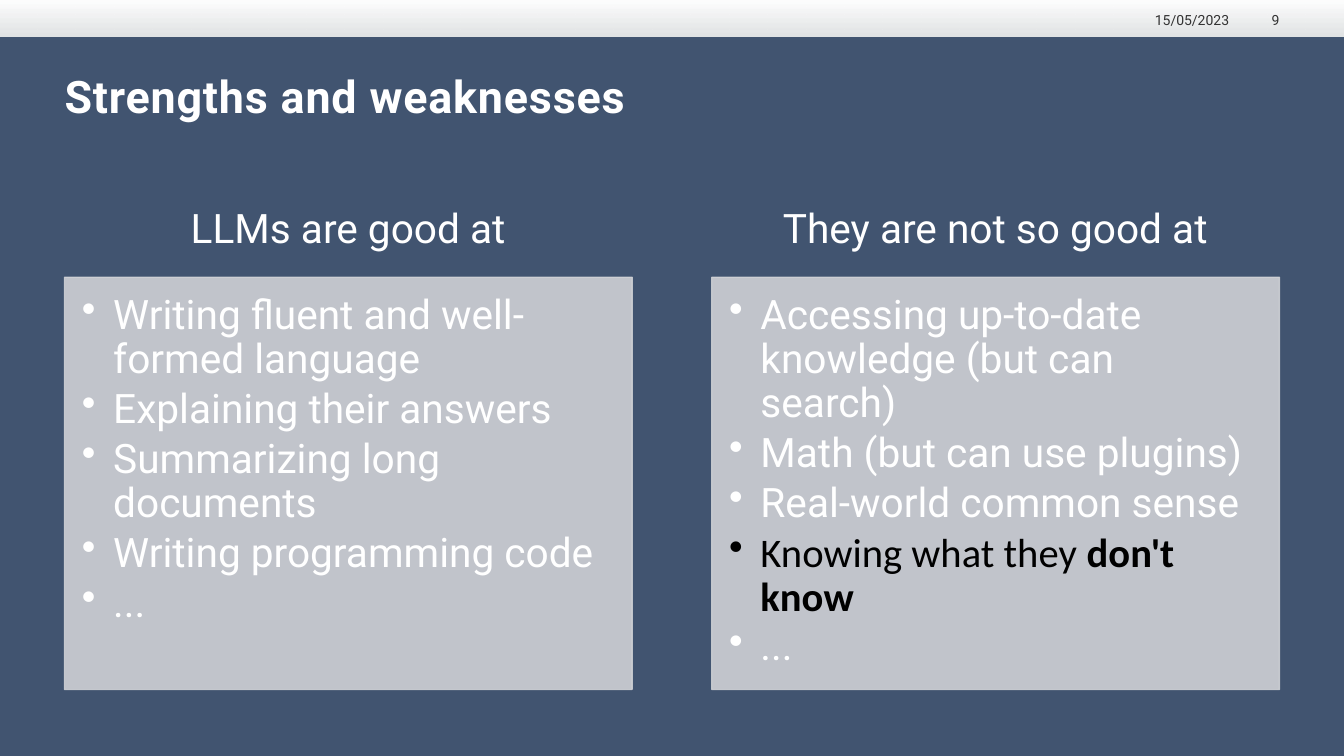
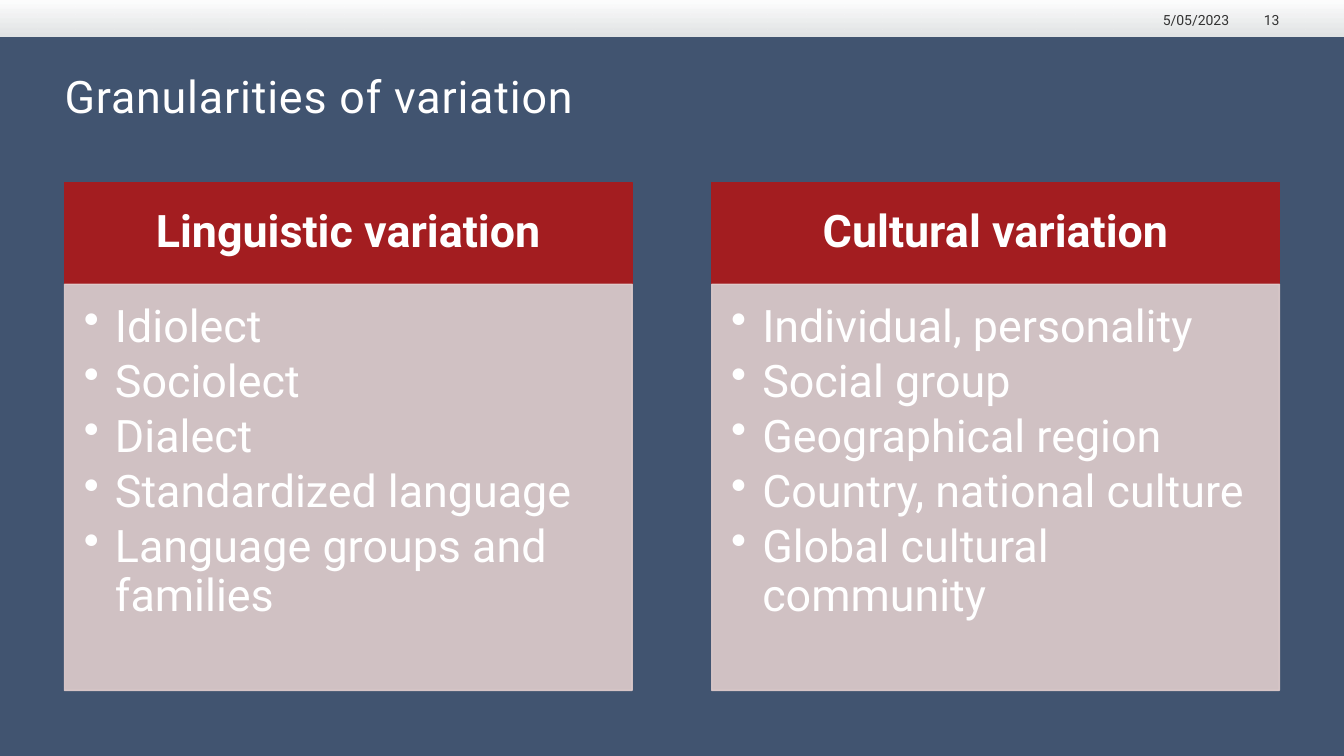
from dataclasses import dataclass

import pptx
import pptx.dml.color
import pptx.enum.shapes
import pptx.enum.text
import pptx.oxml
import pptx.oxml.ns
import pptx.util

RGBColor = pptx.dml.color.RGBColor
Inches, Pt = pptx.util.Inches, pptx.util.Pt
ALIGN, ANCHOR = pptx.enum.text.PP_ALIGN, pptx.enum.text.MSO_ANCHOR
RECTANGLE = pptx.enum.shapes.MSO_SHAPE.RECTANGLE

# Shared look
NAVY = RGBColor(0x41, 0x54, 0x70)
RED = RGBColor(0xA3, 0x1D, 0x20)
PALE_BLUE = RGBColor(0xCF, 0xD1, 0xD5)
PALE_RED = RGBColor(0xE0, 0xCD, 0xCD)
BAND_END = RGBColor(0xEE, 0xEF, 0xEE)
WHITE = RGBColor(0xFF, 0xFF, 0xFF)
BLACK = RGBColor(0, 0, 0)
GREY = RGBColor(0x33, 0x33, 0x33)
FONT, ACCENT_FONT = "Roboto", "Calibri"

# Grid, in inches
SLIDE_W, SLIDE_H = 13.33, 7.5
MARGIN, GUTTER = 0.64, 0.79
CONTENT_W = SLIDE_W - 2 * MARGIN
COLUMN_W = (CONTENT_W - GUTTER) / 2
BAND_H = 0.36
INDENT = 0.31


@dataclass(frozen=True)
class Point:
    text: str
    bold_end: str = ""
    ink: RGBColor = WHITE
    typeface: str = FONT


@dataclass(frozen=True)
class Column:
    heading: str
    points: tuple[Point, ...]


@dataclass(frozen=True)
class Theme:
    heading_fill: RGBColor
    body_fill: RGBColor
    size: int
    heading_bold: bool
    top: float
    heading_h: float
    body_h: float


@dataclass(frozen=True)
class Page:
    title: str
    title_bold: bool
    date: str
    number: str
    theme: Theme
    columns: tuple[Column, Column]


def style(run, size: float, ink: RGBColor, bold: bool = False,
          typeface: str = FONT) -> None:
    run.font.name, run.font.size, run.font.bold = typeface, Pt(size), bold
    run.font.color.rgb = ink


def set_alpha(colours, percent: int) -> None:
    for colour in colours:
        alpha = pptx.oxml.parse_xml(
            f'<a:alpha {pptx.oxml.ns.nsdecls("a")} val="{percent * 1000}"/>')
        colour.append(alpha)


def colours_of(shape) -> list:
    return list(shape._element.spPr.iter(pptx.oxml.ns.qn("a:srgbClr")))


def set_insets(frame, left: float, top: float, right: float, bottom: float) -> None:
    """Insets are in points."""
    frame.margin_left, frame.margin_top = Pt(left), Pt(top)
    frame.margin_right, frame.margin_bottom = Pt(right), Pt(bottom)
    frame.word_wrap = True


def add_panel(slide, left: float, top: float, width: float, height: float):
    panel = slide.shapes.add_shape(
        RECTANGLE, Inches(left), Inches(top), Inches(width), Inches(height))
    panel.shadow.inherit = False
    return panel


def paint(panel, colour: RGBColor) -> None:
    panel.fill.solid()
    panel.fill.fore_color.rgb = colour
    panel.line.color.rgb = colour
    panel.line.width = Pt(1)


def add_label(slide, text: str, left: float, top: float, width: float,
              height: float, size: float, ink: RGBColor, bold: bool = False):
    label = slide.shapes.add_textbox(
        Inches(left), Inches(top), Inches(width), Inches(height))
    set_insets(label.text_frame, 0, 0, 0, 0)
    label.text_frame.text = text
    style(label.text_frame.paragraphs[0].runs[0], size, ink, bold)
    return label


def add_frame(slide, page: Page) -> None:
    """Top band, date, page number and title."""
    band = add_panel(slide, 0, 0, SLIDE_W, BAND_H)
    band.fill.gradient()
    band.fill.gradient_angle = 270
    for stop, colour in zip(band.fill.gradient_stops, (WHITE, BAND_END)):
        stop.color.rgb = colour
    set_alpha(colours_of(band)[1:], 93)
    band.line.fill.background()

    right = SLIDE_W - MARGIN
    for text, end, width in ((page.date, right - 0.5, 0.89),
                             (page.number, right, 0.42)):
        label = add_label(slide, text, end - width, 0.09, width, 0.19, 10, GREY)
        label.text_frame.vertical_anchor = ANCHOR.BOTTOM
        label.text_frame.paragraphs[0].alignment = ALIGN.RIGHT

    title = add_label(slide, page.title, MARGIN, 0.68, CONTENT_W, 0.94,
                      32, WHITE, page.title_bold)
    title.text_frame.paragraphs[0].runs[0].font._element.set("spc", "60")


def add_bullet(paragraph) -> None:
    properties = paragraph._p.get_or_add_pPr()
    properties.set("marL", str(Inches(INDENT)))
    properties.set("indent", str(-Inches(INDENT)))
    properties.append(pptx.oxml.parse_xml(
        f'<a:buChar {pptx.oxml.ns.nsdecls("a")} char="•"/>'))


def add_column(slide, column: Column, left: float, theme: Theme) -> None:
    em = theme.size

    # Heading
    heading = add_panel(slide, left, theme.top, COLUMN_W, theme.heading_h)
    paint(heading, theme.heading_fill)
    frame = heading.text_frame
    set_insets(frame, 0.57 * em, 0.32 * em, 0.57 * em, 0.32 * em)
    frame.vertical_anchor = ANCHOR.MIDDLE
    frame.text = column.heading
    frame.paragraphs[0].alignment = ALIGN.CENTER
    frame.paragraphs[0].line_spacing = 0.9
    style(frame.paragraphs[0].runs[0], em, WHITE, theme.heading_bold)

    # Bullet list
    body = add_panel(slide, left, theme.top + theme.heading_h, COLUMN_W, theme.body_h)
    paint(body, theme.body_fill)
    set_alpha(colours_of(body), 90)
    frame = body.text_frame
    set_insets(frame, 0.43 * em, 0.43 * em, 0.57 * em, 0.63 * em)
    frame.vertical_anchor = ANCHOR.TOP
    for index, point in enumerate(column.points):
        paragraph = frame.add_paragraph() if index else frame.paragraphs[0]
        add_bullet(paragraph)
        paragraph.alignment = ALIGN.LEFT
        paragraph.line_spacing = 0.9
        paragraph.space_after = Pt(0.15 * em)
        for text, bold in ((point.text, False), (point.bold_end, True)):
            if text:
                run = paragraph.add_run()
                run.text = text
                style(run, em, point.ink, bold, point.typeface)


def points(*texts: str) -> tuple[Point, ...]:
    return tuple(Point(text) for text in texts)


# Content
BLUE_THEME = Theme(NAVY, PALE_BLUE, 29, False, 1.83, 0.92, 4.09)
RED_THEME = Theme(RED, PALE_RED, 32, True, 1.81, 1.01, 4.03)

PAGES = (
    Page("Strengths and weaknesses", True, "15/05/2023", "9", BLUE_THEME, (
        Column("LLMs are good at", points(
            "Writing fluent and well-formed language",
            "Explaining their answers",
            "Summarizing long documents",
            "Writing programming code",
            "...")),
        Column("They are not so good at", (
            *points("Accessing up-to-date knowledge (but can search)",
                    "Math (but can use plugins)",
                    "Real-world common sense"),
            Point("Knowing what they ", "don't know", BLACK, ACCENT_FONT),
            Point("..."))))),
    Page("Granularities of variation", False, "5/05/2023", "13", RED_THEME, (
        Column("Linguistic variation", points(
            "Idiolect",
            "Sociolect",
            "Dialect",
            "Standardized language",
            "Language groups and families")),
        Column("Cultural variation", points(
            "Individual, personality",
            "Social group",
            "Geographical region",
            "Country, national culture",
            "Global cultural community")))),
)


def main() -> None:
    deck = pptx.Presentation()
    deck.slide_width, deck.slide_height = Inches(SLIDE_W), Inches(SLIDE_H)
    backdrop = deck.slide_master.background.fill
    backdrop.solid()
    backdrop.fore_color.rgb = NAVY
    for page in PAGES:
        slide = deck.slides.add_slide(deck.slide_layouts[6])
        add_frame(slide, page)
        for index, column in enumerate(page.columns):
            add_column(slide, column, MARGIN + index * (COLUMN_W + GUTTER), page.theme)
    deck.save("out.pptx")


if __name__ == "__main__":
    main()
